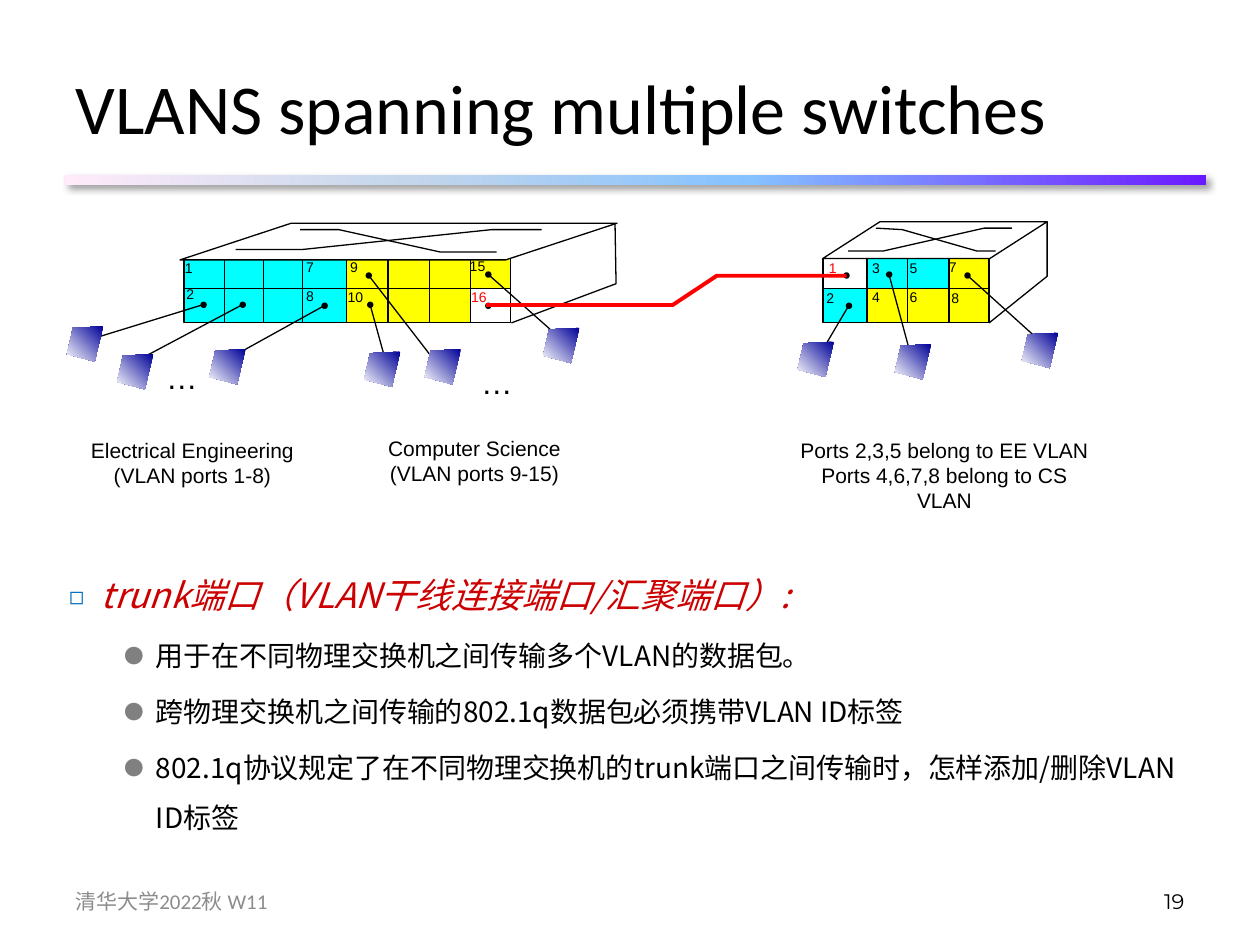
from lxml.etree import SubElement
from pptx import Presentation
from pptx.dml.color import RGBColor
from pptx.enum.shapes import MSO_CONNECTOR, MSO_SHAPE
from pptx.enum.text import MSO_ANCHOR, MSO_AUTO_SIZE, PP_ALIGN
from pptx.oxml import parse_xml
from pptx.oxml.ns import nsdecls, qn
from pptx.util import Cm, Pt

COLORS = {
    "black": "000000", "white": "FFFFFF", "red": "FF0000", "cyan": "00FFFF",
    "yellow": "FFFF00", "navy": "000099", "crimson": "CC0000", "footer": "8C8C8C",
    "square": "0070C0", "dot": "808080",
}
RULE_STOPS = [(0, "6B19FF"), (40, "85C2FF"), (70, "C4D6EB"), (100, "FFEBFA")]
HOST_STOPS = [(0, COLORS["navy"]), (100, COLORS["white"])]
HOST_OUTLINE = [(0.73, 0), (0.12, 0.03), (0, 0.56), (0.56, 0.71)]
CJK = "Noto Sans CJK SC"

CAMPUS_SWITCH = {
    "columns": [0, 0.81, 1.6, 2.39, 3.28, 4.11, 4.95, 5.77, 6.58],
    "rows": [["cyan"] * 4 + ["yellow"] * 4, ["cyan"] * 4 + ["yellow"] * 3 + ["white"]],
    "roof": (-0.08, -0.71, 8.81, 0.74, 3.032),
    "outlines": [
        [(6.6, 1.3), (8.71, 0.51), (8.69, -0.71)],
        [(1.04, -0.18), (2.39, -0.18), (6.2, -0.58), (7.21, -0.58)],
        [(2.34, -0.58), (3.12, -0.58), (5.16, -0.13), (6.3, -0.13)],
    ],
    "ports": [("1", -0.23, -0.1), ("2", -0.2, 0.43), ("7", 2.21, -0.13), ("8", 2.21, 0.46),
              ("9", 3.1, -0.13), ("10", 3.05, 0.48), ("15", 5.51, -0.15), ("16", 5.54, 0.48)],
    "trunk": ("16", (6.13, 0.95)),
    "links": [
        ((0.39, 0.93), (-2.11, 1.7), (-2.36, 1.37)),
        ((1.18, 0.93), (-1.04, 2.11), (-1.35, 1.93)),
        ((2.83, 0.95), (0.97, 1.98), (0.51, 1.83)),
        ((3.75, 0.93), (4.04, 1.98), (3.63, 1.88)),
        ((3.72, 0.34), (5.05, 2.06), (4.85, 1.83)),
        ((6.13, 0.32), (7.54, 1.57), (7.24, 1.4)),
    ],
    "ellipses": [(-0.61, 1.88), (5.74, 1.98)],
    "captions": [
        (["Electrical Engineering", "(VLAN ports 1-8)"], -2.13, 3.48, 4.6, True),
        (["Computer Science", "(VLAN ports 9-15)"], 3.86, 3.45, 3.99, False),
    ],
}
REMOTE_SWITCH = {
    "columns": [0, 0.89, 1.7, 2.54, 3.35],
    "rows": [["white", "cyan", "cyan", "yellow"], ["cyan", "yellow", "yellow", "yellow"]],
    "roof": (0, -0.74, 4.52, 0.74, 1.556),
    "outlines": [
        [(3.35, 1.3), (4.52, 0.36), (4.52, -0.74)],
        [(0.51, -0.15), (1.22, -0.15), (3.25, -0.61), (3.81, -0.61)],
        [(1.07, -0.61), (1.6, -0.58), (3.1, -0.15), (3.48, -0.15)],
    ],
    "ports": [("1", -0.13, -0.1), ("2", -0.18, 0.51), ("3", 0.74, -0.1), ("4", 0.74, 0.48),
              ("5", 1.5, -0.1), ("6", 1.5, 0.48), ("7", 2.29, -0.13), ("8", 2.34, 0.51)],
    "trunk": ("1", (0.47, 0.34)),
    "links": [
        ((0.52, 0.95), (0.03, 1.78), (-0.51, 1.68)),
        ((1.33, 0.32), (1.8, 2.06), (1.45, 1.73)),
        ((2.91, 0.34), (4.27, 1.57), (4.01, 1.5)),
    ],
    "ellipses": [],
    "captions": [
        (["Ports 2,3,5 belong to EE VLAN", "Ports 4,6,7,8 belong to CS VLAN"],
         -0.89, 3.48, 6.68, False),
    ],
}
TRUNK_NOTES = [
    "trunk端口（VLAN干线连接端口/汇聚端口）:",
    "用于在不同物理交换机之间传输多个VLAN的数据包。",
    "跨物理交换机之间传输的802.1q数据包必须携带VLAN ID标签",
    "802.1q协议规定了在不同物理交换机的trunk端口之间传输时，怎样添加/删除VLAN ID标签",
]


def rgb(name):
    """Look up a palette colour."""
    return RGBColor.from_string(COLORS[name])


def style_paragraph(paragraph, color, **values):
    """Apply font values and an East Asian face to each run."""
    for run in paragraph.runs:
        for key, value in values.items():
            setattr(run.font, key, value)
        run.font.color.rgb = rgb(color)
        SubElement(run.font._element, qn("a:ea"), typeface=CJK)


def place(part, left, top, width, height):
    """Move and size a part, in centimetres."""
    for key, value in zip(("left", "top", "width", "height"), (left, top, width, height)):
        setattr(part, key, Cm(value))


def add_label(slide, lines, left, top, width, height, size, color="black", font="Arial",
              align=PP_ALIGN.LEFT, anchor=MSO_ANCHOR.TOP, wrap=False):
    """Add a text box with one paragraph per line."""
    label = slide.shapes.add_textbox(Cm(left), Cm(top), Cm(width), Cm(height))
    frame = label.text_frame
    frame.text = "\n".join(lines)
    for key, value in {"word_wrap": wrap, "vertical_anchor": anchor}.items():
        setattr(frame, key, value)
    for paragraph in frame.paragraphs:
        paragraph.alignment = align
        style_paragraph(paragraph, color, size=Pt(size), name=font)


def paint(shape, fill=None, line=None, weight=0.75):
    """Set fill and outline, and drop the shadow."""
    shape.shadow.inherit = False
    if fill:
        shape.fill.solid()
        shape.fill.fore_color.rgb = rgb(fill)
    else:
        shape.fill.background()
    if line:
        shape.line.color.rgb = rgb(line)
        shape.line.width = Pt(weight)
    else:
        shape.line.fill.background()


def paint_gradient(shape, stops, angle):
    """Replace the empty fill with a linear gradient."""
    paint(shape)
    marks = "".join(f'<a:gs pos="{pos * 1000}"><a:srgbClr val="{color}"/></a:gs>'
                    for pos, color in stops)
    empty_fill = shape._element.spPr.find(qn("a:noFill"))
    shape._element.spPr.replace(empty_fill, parse_xml(
        f'<a:gradFill {nsdecls("a")} rotWithShape="1"><a:gsLst>{marks}</a:gsLst>'
        f'<a:lin ang="{angle * 60000}" scaled="0"/></a:gradFill>'))


def add_shape(slide, kind, left, top, width, height):
    """Add a preset shape, in centimetres."""
    return slide.shapes.add_shape(kind, Cm(left), Cm(top), Cm(width), Cm(height))


def add_outline(slide, left, top, points, close=False):
    """Build a freeform through points relative to a corner."""
    (start, *rest) = [(Cm(left + x), Cm(top + y)) for x, y in points]
    builder = slide.shapes.build_freeform(*start)
    builder.add_line_segments(rest, close=close)
    return builder.convert_to_shape()


def add_link(slide, left, top, start, end):
    """Draw a thin black line between two relative points."""
    link = slide.shapes.add_connector(
        MSO_CONNECTOR.STRAIGHT, Cm(left + start[0]), Cm(top + start[1]),
        Cm(left + end[0]), Cm(top + end[1]))
    link.line.color.rgb = rgb("black")
    link.line.width = Pt(0.75)
    SubElement(link._element.spPr, qn("a:effectLst"))


def draw_switch(slide, left, top, switch):
    """Draw a switch with its ports, hosts and captions."""
    columns, split, height = switch["columns"], 0.61, 1.3
    for fills, y, depth in zip(switch["rows"], (0, split), (split, height - split)):
        for fill, x, right in zip(fills, columns, columns[1:]):
            paint(add_shape(slide, MSO_SHAPE.RECTANGLE, left + x, top + y, right - x, depth), fill)
    paint(add_shape(slide, MSO_SHAPE.RECTANGLE, left, top, columns[-1], height), line="black")
    add_link(slide, left, top, (0, split), (columns[-1], split))
    for x in columns[1:-1]:
        add_link(slide, left, top, (x, 0), (x, height))
    x, y, width, depth, slant = switch["roof"]
    roof = add_shape(slide, MSO_SHAPE.PARALLELOGRAM, left + x, top + y, width, depth)
    roof.adjustments[0] = slant
    paint(roof, "white", "black")
    for points in switch["outlines"]:
        paint(add_outline(slide, left, top, points), line="black")
    trunk_port, trunk_dot = switch["trunk"]
    for start, end, _ in switch["links"]:
        add_link(slide, left, top, start, end)
    for x, y in [link[0] for link in switch["links"]] + [trunk_dot]:
        paint(add_shape(slide, MSO_SHAPE.OVAL, left + x - 0.06, top + y - 0.06, 0.13, 0.13), "black")
    for port, x, y in switch["ports"]:
        add_label(slide, [port], left + x, top + y, 0.48 + 0.18 * len(port), 0.58, 8,
                  "red" if port == trunk_port else "black")
    for _, _, (x, y) in switch["links"]:
        paint_gradient(add_outline(slide, left + x, top + y, HOST_OUTLINE, True), HOST_STOPS, 135)
    for x, y in switch["ellipses"]:
        add_label(slide, ["…"], left + x, top + y, 1.14, 1.02, 18)
    for lines, x, y, width, wrap in switch["captions"]:
        add_label(slide, lines, left + x, top + y, width, 1.27, 12,
                  align=PP_ALIGN.CENTER, wrap=wrap)


def draw_header(slide, left, top, width):
    """Fill the title and draw the shaded rule below it."""
    title = slide.shapes.title
    place(title, left, top, width, 2.77)
    title.text_frame.text = "VLANS spanning multiple switches"
    title.text_frame.vertical_anchor = MSO_ANCHOR.MIDDLE
    title.text_frame.paragraphs[0].alignment = PP_ALIGN.LEFT
    style_paragraph(title.text_frame.paragraphs[0], "black", size=Pt(40), name="Calibri")
    rule = add_shape(slide, MSO_SHAPE.RECTANGLE, left + 0.03, top + 2.77, width + 0.15, 0.2)
    paint_gradient(rule, RULE_STOPS, 180)
    shadow = SubElement(rule._element.spPr.find(qn("a:effectLst")), qn("a:outerShdw"),
                        blurRad=str(Pt(4)), dist=str(Pt(3)), dir="2700000")
    tint = SubElement(shadow, qn("a:srgbClr"), val=COLORS["black"])
    SubElement(tint, qn("a:alpha"), val="40000")


def draw_notes(slide, left, top, width, height):
    """Fill the body with the trunk heading and its bullets."""
    body = slide.placeholders[1]
    place(body, left, top, width, height)
    frame = body.text_frame
    frame.text = "\n".join(TRUNK_NOTES)
    frame.auto_size = MSO_AUTO_SIZE.NONE
    for index, paragraph in enumerate(frame.paragraphs):
        level, indent, bullet, bullet_color, size, color = (
            (1, 1.75, "●", "dot", 16, "black") if index
            else (0, 0.64, "◻", "square", 20, "crimson"))
        for key, value in {"level": level, "line_spacing": 1.5,
                           "space_before": Pt(0.2 * size if index else 0)}.items():
            setattr(paragraph, key, value)
        properties = paragraph._p.get_or_add_pPr()
        properties.set("marL", str(Cm(indent)))
        properties.set("indent", str(Cm(-0.64)))
        tint = SubElement(properties, qn("a:buClr"))
        SubElement(tint, qn("a:srgbClr"), val=COLORS[bullet_color])
        SubElement(properties, qn("a:buSzPct"), val="70000")
        SubElement(properties, qn("a:buFont"), typeface=CJK)
        SubElement(properties, qn("a:buChar"), char=bullet)
        style_paragraph(paragraph, color, size=Pt(size), name=CJK, italic=not index)


def draw_footer(slide, left, top, width):
    """Place the course label and the page number."""
    add_label(slide, ["清华大学2022秋 W11"], left, top, 5.92, 1.02, 12, "footer", "Calibri",
              anchor=MSO_ANCHOR.MIDDLE, wrap=True)
    add_label(slide, ["19"], left + width - 5.92, top, 5.92, 1.02, 12, "black", "Montserrat",
              PP_ALIGN.RIGHT, MSO_ANCHOR.MIDDLE, True)


def main():
    """Build and save the slide."""
    deck = Presentation()
    deck.slide_width, deck.slide_height = Cm(25.4), Cm(19.05)
    slide = deck.slides.add_slide(deck.slide_layouts[1])
    draw_header(slide, 1.27, 0.76, 22.86)
    draw_switch(slide, 3.71, 5.21, CAMPUS_SWITCH)
    draw_switch(slide, 16.59, 5.21, REMOTE_SWITCH)
    trunk = add_outline(slide, 9.8, 5.56, [(0, 0.59), (3.76, 0.59), (4.65, 0), (7.27, 0)])
    paint(trunk, line="red", weight=2.25)
    draw_notes(slide, 1.14, 11.02, 23.04, 7.47)
    draw_footer(slide, 1.27, 17.65, 22.86)
    deck.save("out.pptx")


if __name__ == "__main__":
    main()
